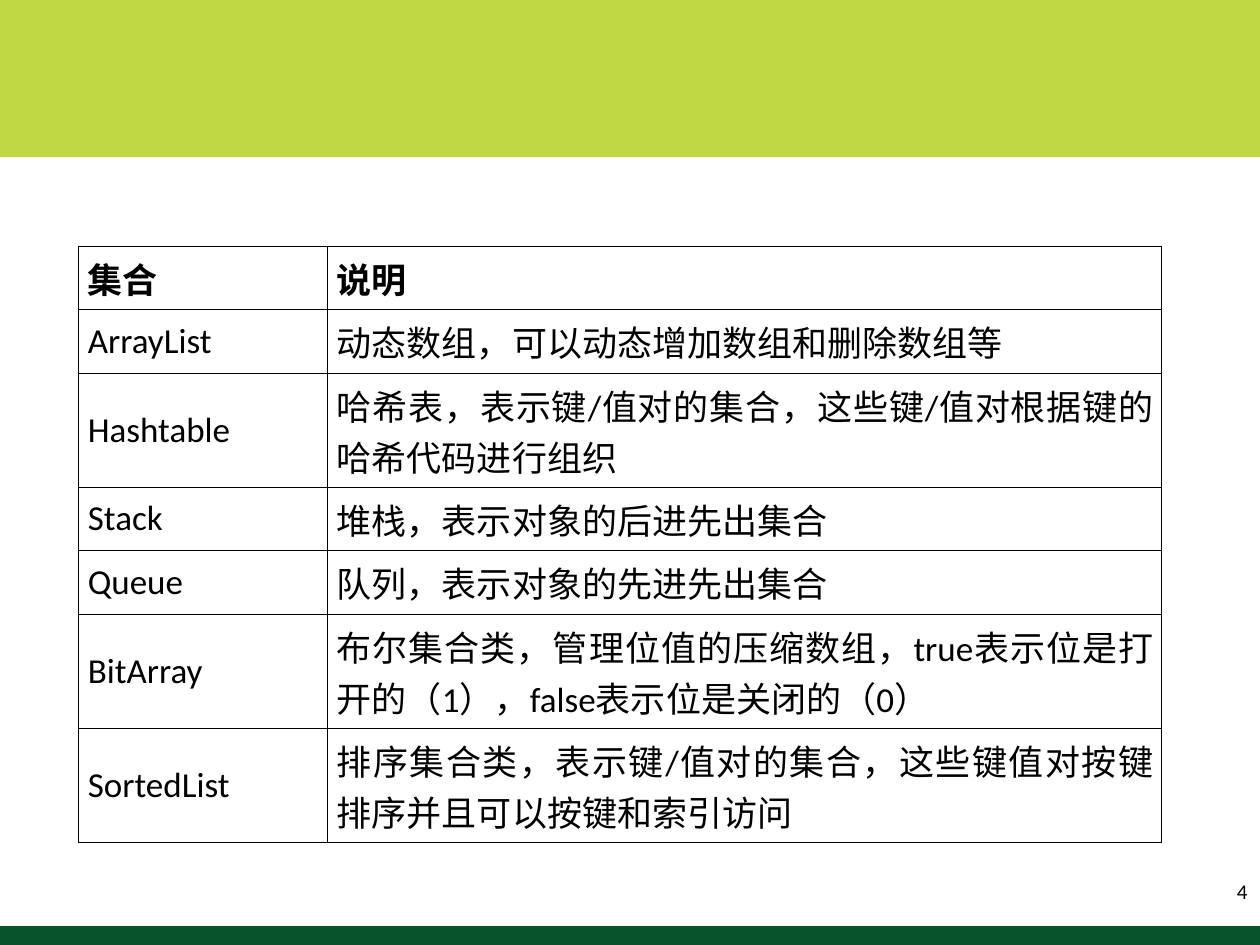
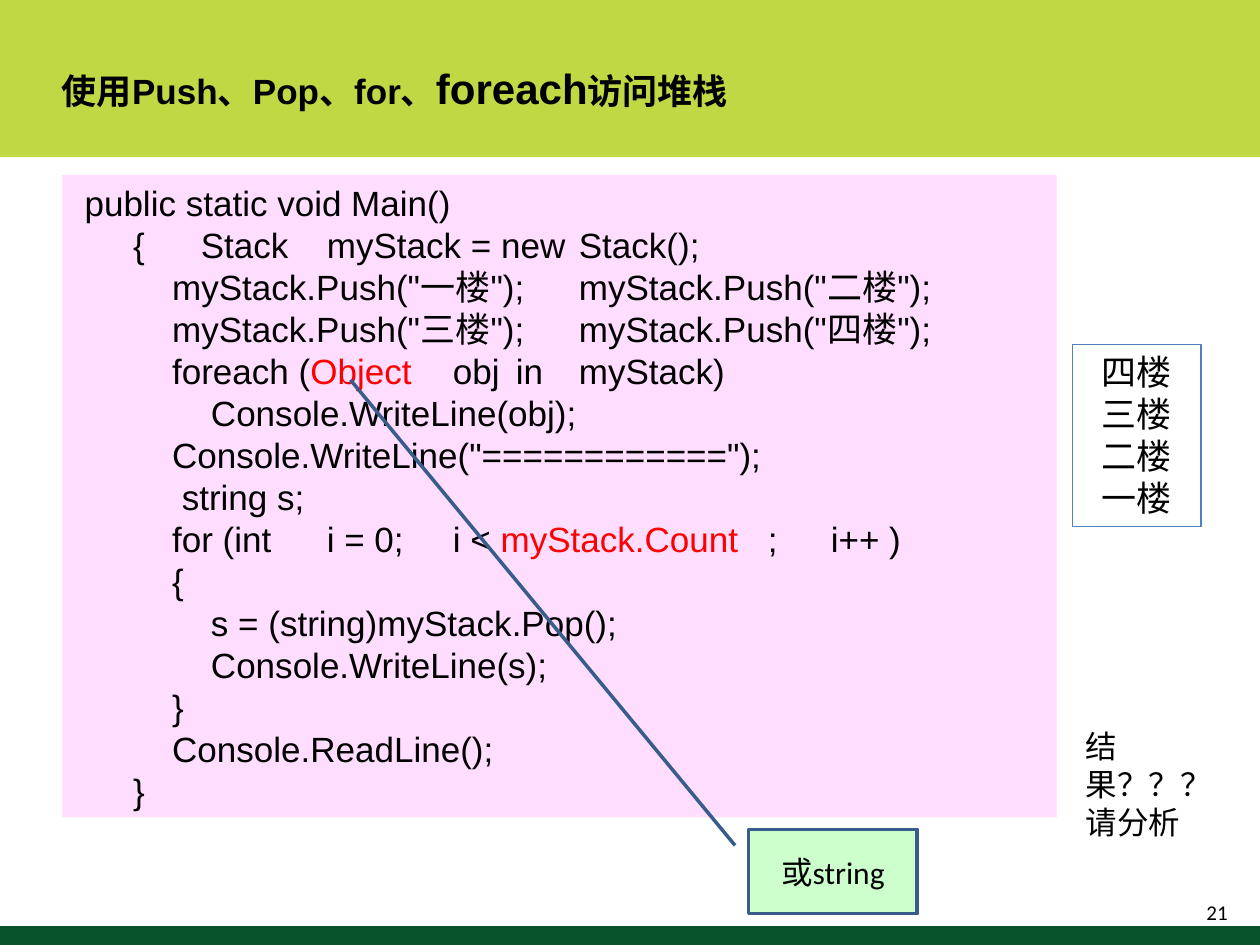
from lxml import etree
from pptx import Presentation
from pptx.dml.color import RGBColor
from pptx.enum.shapes import MSO_SHAPE
from pptx.enum.text import MSO_ANCHOR, MSO_AUTO_SIZE, PP_ALIGN
from pptx.oxml.ns import qn
from pptx.util import Cm, Pt

RECT, CALLOUT = MSO_SHAPE.RECTANGLE, MSO_SHAPE.LINE_CALLOUT_1
TOP, MIDDLE = MSO_ANCHOR.TOP, MSO_ANCHOR.MIDDLE
LEFT, CENTER, RIGHT, JUSTIFY = PP_ALIGN.LEFT, PP_ALIGN.CENTER, PP_ALIGN.RIGHT, PP_ALIGN.JUSTIFY
GROW = MSO_AUTO_SIZE.SHAPE_TO_FIT_TEXT

COLORS = {
    "header": "BFD844",
    "footer": "09532A",
    "text": "000000",
    "highlight": "FF0000",
    "code": "FFDDFF",
    "output_line": "4F81BD",
    "callout": "CCFFCC",
    "callout_line": "385D8A",
}
BODY_FONT, CODE_FONT = "Calibri", "Arial"
LINE_FACTOR = 1.2
INDENT_UNIT = 0.196

COLLECTIONS = [
    ("集合", "说明"),
    ("ArrayList", "动态数组，可以动态增加数组和删除数组等"),
    ("Hashtable", "哈希表，表示键/值对的集合，这些键/值对根据键的哈希代码进行组织"),
    ("Stack", "堆栈，表示对象的后进先出集合"),
    ("Queue", "队列，表示对象的先进先出集合"),
    ("BitArray", "布尔集合类，管理位值的压缩数组，true表示位是打开的（1），false表示位是关闭的（0）"),
    ("SortedList", "排序集合类，表示键/值对的集合，这些键值对按键排序并且可以按键和索引访问"),
]
COLUMN_WIDTHS = (5.02, 16.82)
ONE_LINE, TWO_LINES = 1.28, 2.3
ROW_HEIGHTS = (ONE_LINE, ONE_LINE, TWO_LINES, ONE_LINE, ONE_LINE, TWO_LINES, TWO_LINES)

CODE = [
    (1, ["public static void Main()"], ()),
    (6, ["{\tStack\tmyStack = new\tStack();"], (2, 4.13, 9.33)),
    (10, ['myStack.Push("一楼");\tmyStack.Push("二楼");'], (10.18,)),
    (10, ['myStack.Push("三楼");\tmyStack.Push("四楼");'], (10.18,)),
    (10, ["foreach (", "Object", "\tobj\tin\tmyStack)"], (7.16, 8.69, 9.63)),
    (14, ["Console.WriteLine(obj);"], ()),
    (10, ['Console.WriteLine("============");'], ()),
    (11, ["string s;"], ()),
    (10, ["for (int\ti = 0;\ti < ", "myStack.Count", "\t;\ti++ )"], (4.31, 6.27, 12.42, 13)),
    (10, ["{"], ()),
    (14, ["s = (string)myStack.Pop();"], ()),
    (14, ["Console.WriteLine(s);"], ()),
    (10, ["}"], ()),
    (10, ["Console.ReadLine();"], ()),
    (6, ["}"], ()),
]


def rgb(name):
    return RGBColor.from_string(COLORS[name])


def style(p, size, font, align=LEFT, bold=False):
    p.alignment = align
    p.font.size = Pt(size)
    p.font.name = font
    p.font.bold = bold
    p.font.color.rgb = rgb("text")


def add_box(slide, at, fill=None, line=None, width=0.75, kind=RECT):
    sp = slide.shapes.add_shape(kind, *map(Cm, at))
    sp.shadow.inherit = False
    if fill:
        sp.fill.solid()
        sp.fill.fore_color.rgb = rgb(fill)
    else:
        sp.fill.background()
    if line:
        sp.line.color.rgb = rgb(line)
        sp.line.width = Pt(width)
    else:
        sp.line.fill.background()
    return sp


def add_textbox(slide, at):
    return slide.shapes.add_textbox(*map(Cm, at))


def write_lines(sp, lines, size, font, align=LEFT, anchor=TOP, bold=False):
    tf = sp.text_frame
    tf.word_wrap = True
    tf.vertical_anchor = anchor
    if anchor == TOP:
        tf.auto_size = GROW
    for i, parts in enumerate(lines):
        p = tf.paragraphs[0] if i == 0 else tf.add_paragraph()
        style(p, size, font, align, bold)
        p._p.get_or_add_pPr().set("hangingPunct", "0")
        if font == CODE_FONT:
            p.line_spacing = Pt(size * LINE_FACTOR)
        for part in parts:
            p.add_run().text = part
    return tf.paragraphs


def add_base_slide(prs, number, number_at):
    slide = prs.slides.add_slide(prs.slide_layouts[6])
    add_box(slide, (0, 0, 25.4, 3.17), "header")
    add_box(slide, (0, 18.67, 25.4, 0.38), "footer")
    write_lines(add_textbox(slide, number_at), [[number]], 12, BODY_FONT, RIGHT, MIDDLE)
    return slide


def add_title(slide, parts, large):
    sp = add_textbox(slide, (1, 1.14, 23.42, 1.27))
    p = write_lines(sp, [parts], 24, CODE_FONT, bold=True)[0]
    for r in p.runs:
        r.font.size = Pt(24 if r.text == large else 20)


def set_borders(cell):
    tc_pr = cell._tc.get_or_add_tcPr()
    for side in ("lnL", "lnR", "lnT", "lnB"):
        ln = etree.SubElement(tc_pr, qn(f"a:{side}"), w=str(Pt(0.45)))
        fill = etree.SubElement(ln, qn("a:solidFill"))
        etree.SubElement(fill, qn("a:srgbClr"), val=COLORS["text"])


def add_collection_table(slide):
    frame = slide.shapes.add_table(
        len(COLLECTIONS), len(COLUMN_WIDTHS), Cm(1.58), Cm(4.96),
        Cm(sum(COLUMN_WIDTHS)), Cm(sum(ROW_HEIGHTS)))
    table = frame.table
    table.first_row = table.horz_banding = False
    for column, width in zip(table.columns, COLUMN_WIDTHS):
        column.width = Cm(width)
    for i, (row, height) in enumerate(zip(table.rows, ROW_HEIGHTS)):
        row.height = Cm(height)
        for cell, text in zip(row.cells, COLLECTIONS[i]):
            set_borders(cell)
            cell.fill.background()
            cell.vertical_anchor = MIDDLE
            cell.margin_left, cell.margin_right = Cm(0.19), Cm(0.17)
            cell.margin_top = cell.margin_bottom = Cm(0.13)
            cell.text = text
            style(cell.text_frame.paragraphs[0], 20, BODY_FONT, JUSTIFY, bold=i == 0)


def set_tab_stops(p, stops):
    tab_list = etree.Element(qn("a:tabLst"))
    for stop in stops:
        etree.SubElement(tab_list, qn("a:tab"), pos=str(Cm(stop)), algn="l")
    p._p.get_or_add_pPr().find(qn("a:defRPr")).addprevious(tab_list)


def add_code(slide):
    sp = add_box(slide, (1.26, 3.53, 20.04, 12.95), "code")
    paragraphs = write_lines(sp, [parts for _, parts, _ in CODE], 20, CODE_FONT)
    for p, (indent, _, stops) in zip(paragraphs, CODE):
        p_pr = p._p.get_or_add_pPr()
        p_pr.set("marL", "0")
        p_pr.set("indent", str(Cm(indent * INDENT_UNIT)))
        if stops:
            set_tab_stops(p, stops)
        for r in p.runs[1:2]:
            r.font.color.rgb = rgb("highlight")


def add_callout(slide, text):
    sp = add_box(slide, (15.09, 16.72, 3.4, 1.7), "callout", "callout_line", 2, CALLOUT)
    for i, value in enumerate((0.19, -0.08, -5.33, -2.36)):
        sp.adjustments[i] = value
    write_lines(sp, [[text]], 18, BODY_FONT, CENTER, MIDDLE)


def main():
    prs = Presentation()
    prs.slide_width, prs.slide_height = Cm(25.4), Cm(19.05)

    slide = add_base_slide(prs, "4", (24, 17.46, 1.4, 1.02))
    add_collection_table(slide)

    slide = add_base_slide(prs, "21", (19.9, 17.88, 5.1, 1.02))
    add_title(slide, ["使用Push、Pop、for、", "foreach", "访问堆栈"], "foreach")
    add_code(slide)
    output = add_box(slide, (21.62, 6.95, 2.59, 3.66), line="output_line")
    write_lines(output, [["四楼"], ["三楼"], ["二楼"], ["一楼"]], 20, CODE_FONT, CENTER)
    question = add_textbox(slide, (21.64, 14.53, 3.38, 1.78))
    write_lines(question, [["结果？？？"], ["请分析"]], 18, CODE_FONT)
    add_callout(slide, "或string")

    prs.save("out.pptx")


if __name__ == "__main__":
    main()
